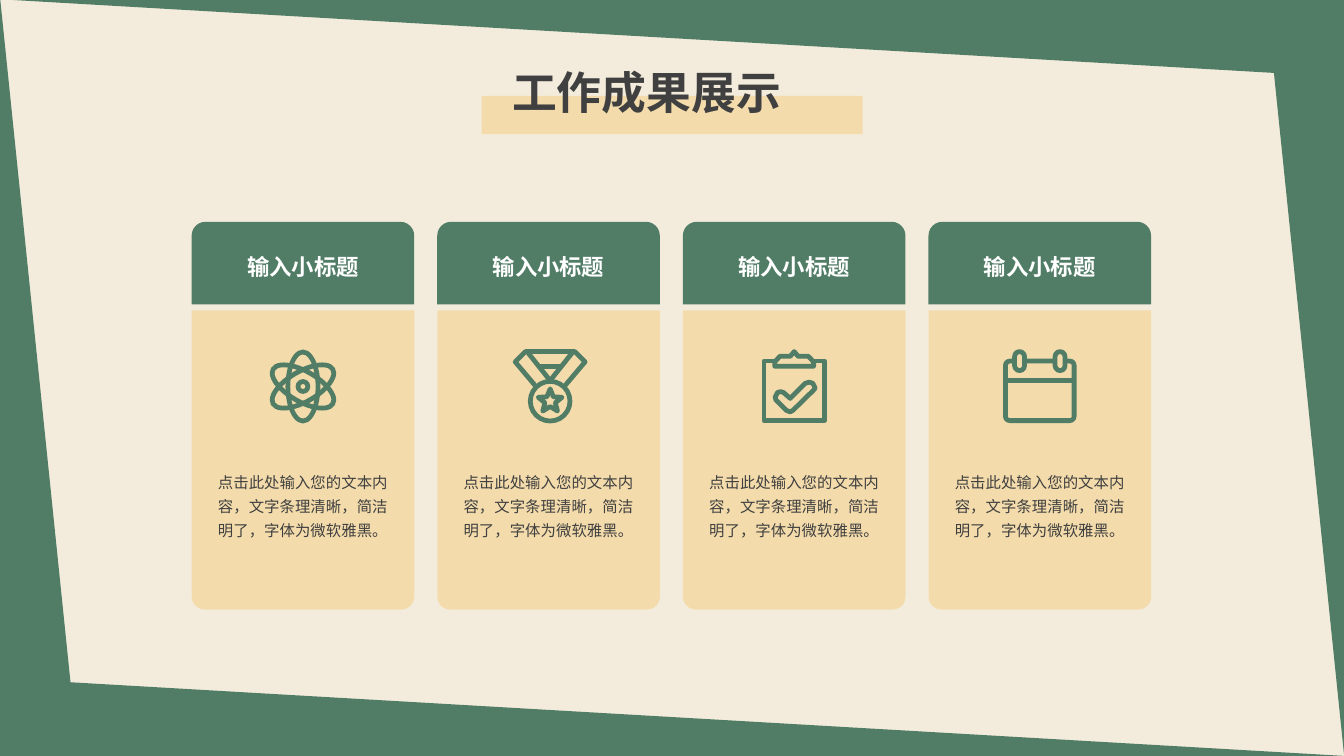
"""Build the work results slide with four icon cards."""
from dataclasses import dataclass

from lxml.etree import SubElement
from pptx import Presentation
from pptx.dml.color import RGBColor as Rgb
from pptx.enum.shapes import MSO_CONNECTOR as Link, MSO_SHAPE as Kind
from pptx.enum.text import MSO_ANCHOR as Anchor, MSO_AUTO_SIZE as Fit, PP_ALIGN as Align
from pptx.oxml.ns import qn
from pptx.util import Cm, Pt


@dataclass(frozen=True)
class Theme:
    """Colours, font and type sizes of the slide."""
    cream: Rgb = Rgb(0xF3, 0xEC, 0xDC)
    green: Rgb = Rgb(0x51, 0x7D, 0x66)
    sand: Rgb = Rgb(0xF3, 0xDB, 0xAB)
    ink: Rgb = Rgb(0x40, 0x40, 0x40)
    white: Rgb = Rgb(0xFF, 0xFF, 0xFF)
    font: str = "Noto Sans CJK SC"
    title: float = 32
    head: float = 16
    body: float = 11
    stroke: float = 3.4


LOOK = Theme()
TITLE = "工作成果展示"
HEAD = "输入小标题"
BODY = "点击此处输入您的文本内容，文字条理清晰，简洁明了，字体为微软雅黑。"
LEFT, WIDE, STEP = 4.83, 5.61, 6.19
ICON_Y = 9.74

RIBBON = [(-.39, -.04), (-.88, -.62), (-.62, -.88), (.62, -.88), (.88, -.62), (.39, -.04)]
FOLD = [(-.55, -.84), (0, -.15), (.55, -.84)]
BOARD = [(-.51, -.64), (-.76, -.64), (-.76, .86), (.76, .86), (.76, -.64), (.51, -.64)]
CLIP = [(-.49, -.51), (-.49, -.62), (-.36, -.76), (-.1, -.76), (0, -.88),
        (.1, -.76), (.36, -.76), (.49, -.62), (.49, -.51)]
TICK = [(.47, -.08), (.53, .04), (.48, .1), (-.03, .6), (-.1, .64), (-.2, .6), (-.46, .34),
        (-.48, .27), (-.42, .15), (-.34, .13), (-.27, .15), (-.1, .3), (.28, -.08), (.38, -.11)]


def block(shapes, kind, box, fill, turn=0, flip=False, adj=()):
    """Add a filled preset shape without a line."""
    shape = shapes.add_shape(kind, *map(Cm, box))
    shape.shadow.inherit = False
    shape.fill.solid()
    shape.fill.fore_color.rgb = fill
    shape.line.fill.background()
    shape.rotation = turn
    if flip:
        shape.element.spPr.find(qn("a:xfrm")).set("flipV", "1")
    for spot, value in enumerate(adj):
        shape.adjustments[spot] = value
    return shape


def pen(line):
    """Give a line the icon stroke with round joins."""
    line.color.rgb = LOOK.green
    line.width = Pt(LOOK.stroke)
    node = line._get_or_add_ln()
    node.set("cap", "rnd")
    SubElement(node, qn("a:round"))


def ring(shapes, kind, x, y, wide, high, turn=0, adj=()):
    """Add an outlined preset shape centred on a point."""
    box = (x - wide / 2, y - high / 2, wide, high)
    shape = block(shapes, kind, box, LOOK.sand, turn, adj=adj)
    pen(shape.line)
    return shape


def trace(shapes, x, y, dots, close=False):
    """Add an outline through points around a centre."""
    spots = [(Cm(x + dx), Cm(y + dy)) for dx, dy in dots]
    maker = shapes.build_freeform(*spots[0])
    maker.add_line_segments(spots[1:], close=close)
    shape = maker.convert_to_shape()
    shape.shadow.inherit = False
    shape.fill.background()
    pen(shape.line)


def bar(shapes, x, y, reach):
    """Add a level line centred on a point."""
    line = shapes.add_connector(Link.STRAIGHT, Cm(x - reach), Cm(y), Cm(x + reach), Cm(y))
    SubElement(line.element.spPr, qn("a:effectLst"))
    pen_line = line.line
    pen_line.color.rgb = LOOK.green
    pen_line.width = Pt(LOOK.stroke)


def atom(shapes, x, y):
    """Draw three orbits and a core."""
    for turn in (0, 60, 120):
        ring(shapes, Kind.OVAL, x, y, .76, 1.74, turn).fill.background()
    ring(shapes, Kind.OVAL, x, y, .25, .25)


def medal(shapes, x, y):
    """Draw a ribbon with a star disc."""
    x += .04
    trace(shapes, x, y, RIBBON)
    trace(shapes, x, y, FOLD)
    bar(shapes, x, y - .51, .27)
    ring(shapes, Kind.OVAL, x, y + .37, 1, 1)
    ring(shapes, Kind.STAR_5_POINT, x, y + .34, .6, .56, adj=(.22,))


def board(shapes, x, y):
    """Draw a clipboard with a tick."""
    trace(shapes, x, y, BOARD)
    trace(shapes, x, y, CLIP, close=True)
    trace(shapes, x, y, TICK, close=True)


def dates(shapes, x, y):
    """Draw a calendar sheet with two rings."""
    ring(shapes, Kind.ROUNDED_RECTANGLE, x, y + .11, 1.73, 1.5, adj=(.07,))
    bar(shapes, x, y - .15, .86)
    for side in (-.51, .51):
        ring(shapes, Kind.ROUNDED_RECTANGLE, x + side, y - .64, .25, .48, adj=(.5,))


def write(shape, text, size, color, align, space, bold=False):
    """Fill a text shape and format its only run."""
    frame = shape.text_frame
    frame.text = text
    frame.word_wrap = True
    frame.auto_size = Fit.SHAPE_TO_FIT_TEXT
    frame.vertical_anchor = Anchor.TOP
    para = frame.paragraphs[0]
    para.alignment = align
    para.line_spacing = space
    run = para.runs[0]
    font = run.font
    font.name, font.size, font.bold = LOOK.font, Pt(size), bold
    font.color.rgb = color
    SubElement(run._r.get_or_add_rPr(), qn("a:ea")).set("typeface", LOOK.font)


def label(shapes, box, *style, **extra):
    """Add a formatted text box."""
    write(shapes.add_textbox(*map(Cm, box)), *style, **extra)


def card(shapes, left, icon):
    """Add one card with head, icon and body text."""
    mid = left + WIDE / 2
    block(shapes, Kind.ROUND_2_SAME_RECTANGLE, (left, 7.82, WIDE, 7.54), LOOK.sand, 180,
          adj=(.058, 0))
    block(shapes, Kind.ROUND_2_SAME_RECTANGLE, (left, 5.59, WIDE, 2.08), LOOK.green,
          adj=(.167, 0))
    icon(shapes, mid, ICON_Y)
    label(shapes, (mid - 2.04, 5.92, 4.08, 1.17), HEAD, LOOK.head, LOOK.white,
          Align.CENTER, 1.5, bold=True)
    label(shapes, (mid - 2.57, 11.66, 5.14, 2.08), BODY, LOOK.body, LOOK.ink,
          Align.CENTER, 1.3)


def frame(shapes):
    """Add the four slanted edges."""
    for x, y, wide, turn, flip in (
            (-.02, -.02, 33.9, 180, False), (23.37, 8.54, 19.05, 90, True),
            (0, 17.09, 33.9, 0, False), (-8.54, 8.52, 19.05, 270, True)):
        block(shapes, Kind.RIGHT_TRIANGLE, (x, y, wide, 1.96), LOOK.green, turn, flip)


def head(shapes):
    """Add the title over its sand band."""
    block(shapes, Kind.RECTANGLE, (12.14, 2.42, 9.6, .96), LOOK.sand)
    title = shapes.title
    title.left, title.top, title.width, title.height = map(Cm, (12.65, 1.5, 8.53, 1.62))
    write(title, TITLE, LOOK.title, LOOK.ink, Align.JUSTIFY, 1.0, bold=True)
    title.element.getparent().append(title.element)


def main():
    """Build and save the deck."""
    deck = Presentation()
    deck.slide_width, deck.slide_height = Cm(33.87), Cm(19.05)
    slide = deck.slides.add_slide(deck.slide_layouts[5])
    ground = slide.background.fill
    ground.solid()
    ground.fore_color.rgb = LOOK.cream
    frame(slide.shapes)
    for spot, icon in enumerate((atom, medal, board, dates)):
        card(slide.shapes, LEFT + spot * STEP, icon)
    head(slide.shapes)
    deck.save("out.pptx")


if __name__ == "__main__":
    main()
